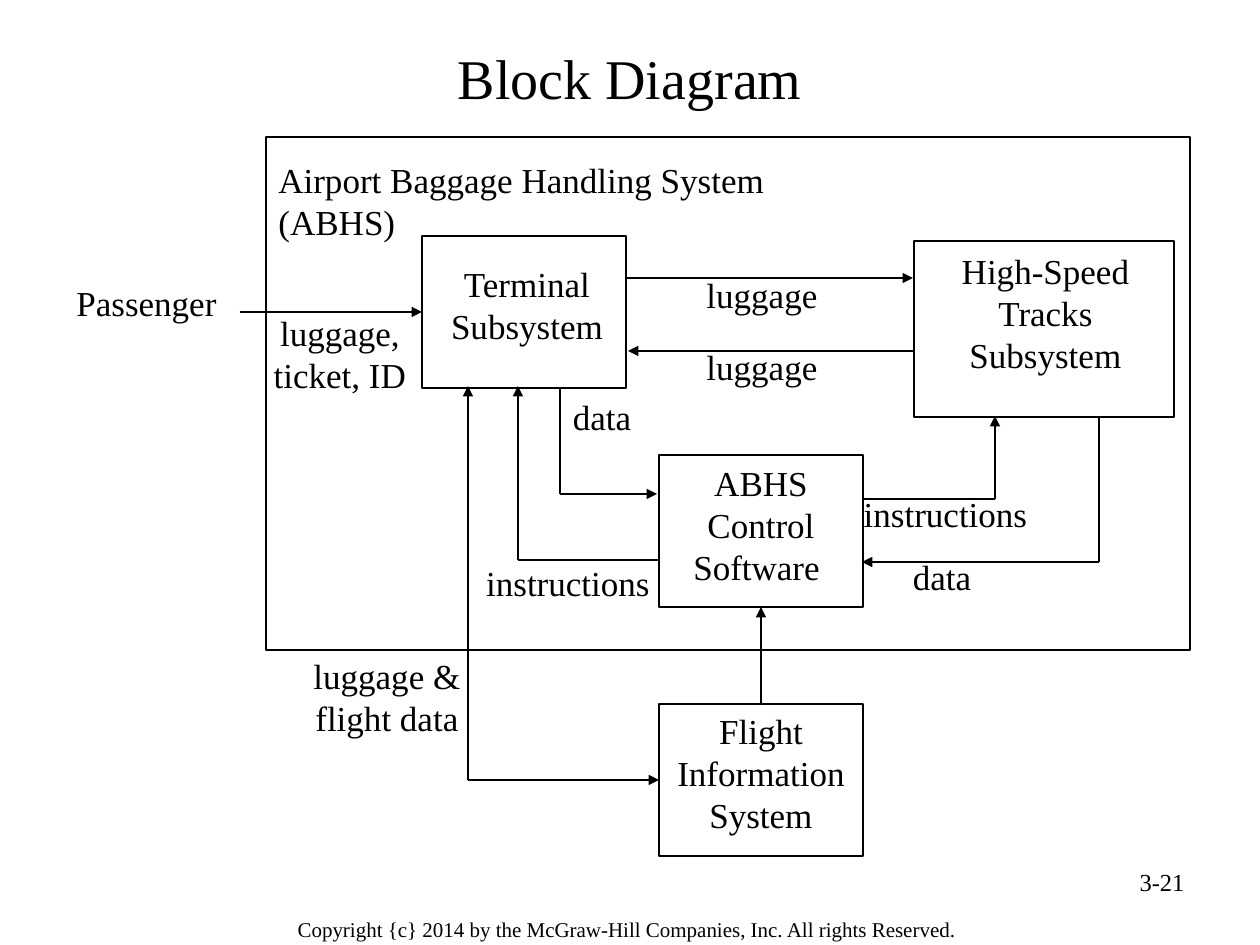
from lxml import etree
from pptx import Presentation
from pptx.dml.color import RGBColor
from pptx.enum.shapes import MSO_CONNECTOR as Link, MSO_SHAPE as Kind
from pptx.enum.text import MSO_ANCHOR as Anchor, MSO_AUTO_SIZE as Fit, PP_ALIGN as Align
from pptx.oxml.ns import qn
from pptx.util import Pt

PX = 914400 / 126


class Theme:
    font = "Times New Roman"
    ink = RGBColor(0, 0, 0)
    rule = Pt(0.75)
    title, body, page, foot = 32, 20, 14, 12


# Content: lengths in px as left, top, width, height
TITLE = ("Block Diagram", (63, 38, 1134, 78))
BOXES = {
    "system": (266, 137, 924, 513),
    "terminal": (422, 236, 204, 152),
    "tracks": (914, 241, 260, 176),
    "control": (659, 455, 204, 152),
    "flight": (659, 704, 204, 152),
}
LABELS = [
    ("Airport Baggage Handling System (ABHS)", (266, 152, 578, 74), Align.LEFT),
    ("Terminal Subsystem", (411, 256, 232, 117), Align.CENTER),
    ("High-Speed Tracks Subsystem", (908, 243, 275, 175), Align.CENTER),
    ("ABHS Control Software ", (645, 455, 232, 156), Align.CENTER),
    ("Flight Information System", (645, 703, 232, 156), Align.CENTER),
    ("Passenger", (50, 275, 193, 76), Align.CENTER),
    ("luggage, ticket, ID", (252, 305, 176, 111), Align.CENTER),
    ("luggage", (674, 267, 176, 96), Align.CENTER),
    ("luggage", (674, 339, 176, 79), Align.CENTER),
    ("luggage & flight data", (266, 648, 242, 113), Align.CENTER),
    ("data", (854, 549, 176, 79), Align.CENTER),
    ("data", (514, 389, 176, 79), Align.CENTER),
    ("instructions", (842, 486, 207, 79), Align.CENTER),
    ("instructions", (466, 555, 204, 79), Align.CENTER),
]
NOTES = [
    ("3-21", (903, 861, 294, 66), Align.RIGHT, Theme.page),
    ("Copyright {c} 2014 by the McGraw-Hill Companies, Inc. All rights Reserved.",
     (237, 910, 780, 39), Align.CENTER, Theme.foot),
]
# From x, y to x, y; arrow at the far end; joints as (box, side)
FLOWS = [
    ((240, 312, 422, 312), True, None, ("terminal", 1)),
    ((626, 278, 913, 278), True, None, None),
    ((914, 351, 628, 351), True, None, None),
    ((761, 704, 761, 607), True, ("flight", 0), ("control", 2)),
    ((560, 388, 560, 494), False, None, None),
    ((560, 494, 657, 494), True, None, None),
    ((863, 499, 995, 499), False, None, None),
    ((995, 499, 995, 416), True, None, None),
    ((658, 560, 518, 560), False, None, None),
    ((518, 560, 518, 386), True, None, None),
    ((1099, 417, 1099, 562), False, None, None),
    ((1099, 562, 862, 562), True, None, None),
    ((468, 780, 468, 386), True, None, None),
    ((468, 780, 659, 780), True, None, ("flight", 1)),
]


def emu(*sizes):
    return [round(size * PX) for size in sizes]


def write(shape, text, align, size):
    frame = shape.text_frame
    frame.word_wrap = True
    frame.auto_size = Fit.NONE
    frame.text = text
    para = frame.paragraphs[0]
    para.alignment = align
    font = para.runs[0].font
    font.name, font.size, font.color.rgb = Theme.font, Pt(size), Theme.ink


def label(slide, text, place, align, size=Theme.body):
    write(slide.shapes.add_textbox(*emu(*place)), text, align, size)


def box(slide, place):
    shape = slide.shapes.add_shape(Kind.RECTANGLE, *emu(*place))
    shape.shadow.inherit = False
    shape.fill.background()
    shape.line.color.rgb, shape.line.width = Theme.ink, Theme.rule
    return shape


def flow(slide, boxes, ends, arrow, start, stop):
    line = slide.shapes.add_connector(Link.STRAIGHT, *emu(*ends))
    line.line.color.rgb, line.line.width = Theme.ink, Theme.rule
    if start:
        line.begin_connect(boxes[start[0]], start[1])
    if stop:
        line.end_connect(boxes[stop[0]], stop[1])
    if arrow:
        etree.SubElement(line.line._get_or_add_ln(), qn("a:tailEnd"), type="triangle")
    etree.SubElement(line._element.spPr, qn("a:effectLst"))


def main():
    deck = Presentation()
    deck.slide_width, deck.slide_height = emu(1260, 945)
    slide = deck.slides.add_slide(deck.slide_layouts[5])

    # Title
    text, place = TITLE
    title = slide.shapes.title
    title.left, title.top, title.width, title.height = emu(*place)
    write(title, text, Align.CENTER, Theme.title)
    title.text_frame.vertical_anchor = Anchor.MIDDLE

    # Blocks, flows and their labels
    boxes = {name: box(slide, place) for name, place in BOXES.items()}
    for item in FLOWS:
        flow(slide, boxes, *item)
    for item in LABELS + NOTES:
        label(slide, *item)

    deck.save("out.pptx")


if __name__ == "__main__":
    main()
